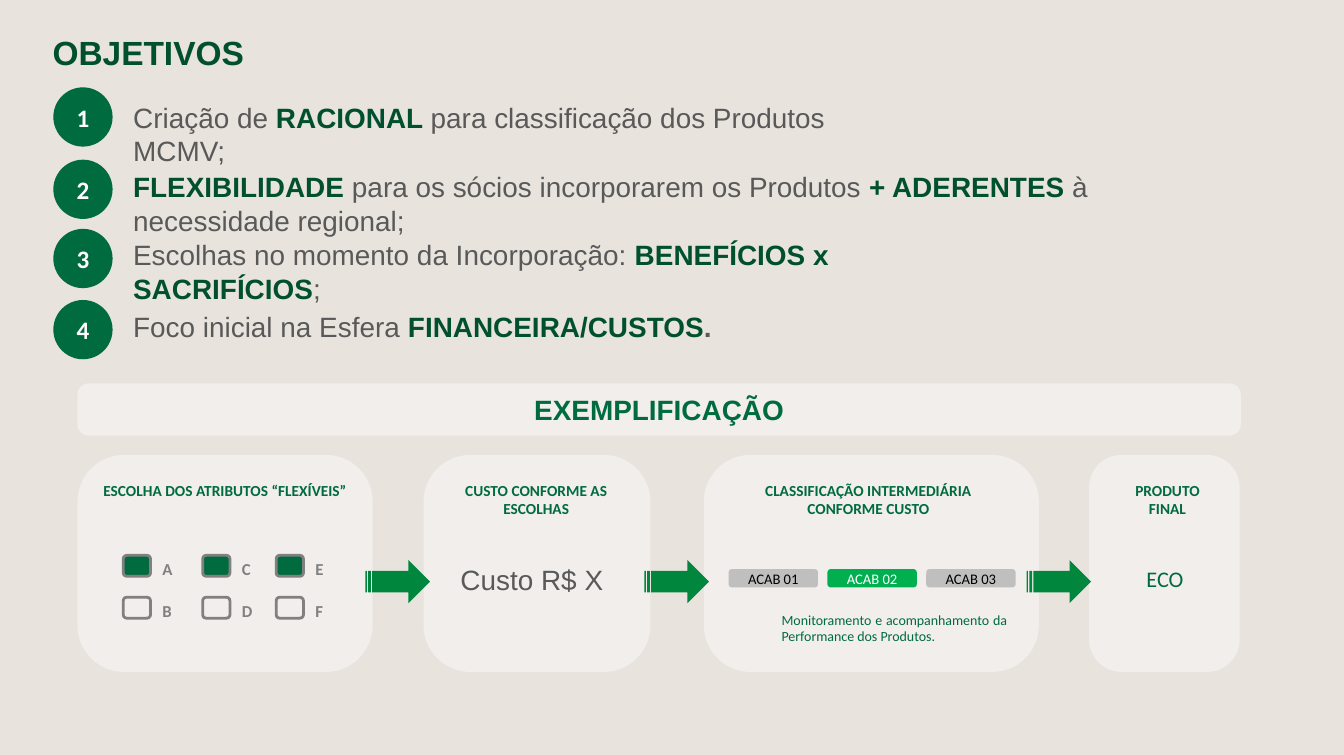
from pptx import Presentation
from pptx.dml.color import RGBColor
from pptx.enum.shapes import MSO_SHAPE
from pptx.enum.text import MSO_ANCHOR, MSO_AUTO_SIZE, PP_ALIGN
from pptx.util import Cm, Pt

ROUNDED = MSO_SHAPE.ROUNDED_RECTANGLE
OVAL = MSO_SHAPE.OVAL
ARROW = MSO_SHAPE.STRIPED_RIGHT_ARROW
LEFT, CENTER, JUSTIFY = PP_ALIGN.LEFT, PP_ALIGN.CENTER, PP_ALIGN.JUSTIFY
MIDDLE = MSO_ANCHOR.MIDDLE
GROW = MSO_AUTO_SIZE.SHAPE_TO_FIT_TEXT

GREEN, DARK, GRAY, WHITE = "006B3F", "00502F", "595959", "FFFFFF"
PANEL, MID_GRAY, SILVER = "F1EEEB", "808080", "BFBFBF"
ROUNDING = 0.215


def color(value):
    return RGBColor.from_string(value)


def write(frame, paragraphs, font="Arial", size=20, ink=GREEN, bold=False,
          align=LEFT, line_spacing=None):
    """Fill a frame; a paragraph is a string or a list of (text, ink, bold)."""
    for index, content in enumerate(paragraphs):
        para = frame.add_paragraph() if index else frame.paragraphs[0]
        para.alignment = align
        if line_spacing:
            para.line_spacing = line_spacing
        spans = [(content, ink, bold)] if isinstance(content, str) else content
        for text, span_ink, span_bold in spans:
            span = para.add_run()
            span.text = text
            span.font.name = font
            span.font.size = Pt(size)
            span.font.bold = span_bold
            span.font.color.rgb = color(span_ink)


class Board:
    """Holds the deck, its page and the shared look."""

    def __init__(self, width, height, background):
        self.deck = Presentation()
        self.deck.slide_width, self.deck.slide_height = Cm(width), Cm(height)
        self.page = self.deck.slides.add_slide(self.deck.slide_layouts[6])
        self.page.background.fill.solid()
        self.page.background.fill.fore_color.rgb = color(background)

    def shape(self, kind, left, top, width, height, fill=None, line=None,
              rounding=None, text=None, **style):
        box = self.page.shapes.add_shape(kind, Cm(left), Cm(top), Cm(width), Cm(height))
        box.shadow.inherit = False
        if rounding:
            box.adjustments[0] = rounding
        if fill:
            box.fill.solid()
            box.fill.fore_color.rgb = color(fill)
        else:
            box.fill.background()
        if line:
            box.line.color.rgb = color(line)
            box.line.width = Pt(2)
        else:
            box.line.fill.background()
        if text:
            box.text_frame.vertical_anchor = MIDDLE
            write(box.text_frame, [text], align=CENTER, **style)

    def text(self, left, top, width, height, *paragraphs, **style):
        box = self.page.shapes.add_textbox(Cm(left), Cm(top), Cm(width), Cm(height))
        frame = box.text_frame
        frame.word_wrap = True
        frame.auto_size = GROW
        write(frame, paragraphs, **style)
        return frame

    def card(self, left, width):
        self.shape(ROUNDED, left, 11.51, width, 5.49, PANEL, rounding=ROUNDING)

    def heading(self, left, width, *lines):
        self.text(left, 12.04, width, 1.19, *lines,
                  font="Calibri", size=11, bold=True, align=CENTER)

    def goal(self, number, circle_top, text_top, width, spans):
        self.shape(OVAL, 1.35, circle_top, 1.5, 1.5, GREEN, text=str(number),
                   font="Calibri", size=18, ink=WHITE, bold=True)
        self.text(3.12, text_top, width, 1.12, spans)

    def option(self, left, top, letter, fill):
        self.shape(ROUNDED, left, top, 0.69, 0.53, fill, MID_GRAY)
        self.text(left + 0.74, top - 0.3, 1.09, 0.94, letter, font="Calibri",
                  size=12, ink=MID_GRAY, bold=True, line_spacing=1.5)


def main():
    board = Board(34.01, 19.1, "E8E3DD")

    title = board.text(1.3, 0.61, 19.76, 1.14, "OBJETIVOS", size=24, ink=DARK, bold=True)
    title.margin_left, title.margin_top = Cm(0.03), Cm(0.2)
    title.margin_right = title.margin_bottom = Cm(0)

    goals = [
        (2.21, 2.41, 18.31, [("Criação de ", GRAY, False), ("RACIONAL ", DARK, True),
                             ("para classificação dos Produtos MCMV;", GRAY, False)]),
        (4.04, 4.17, 28.04, [("FLEXIBILIDADE ", DARK, True),
                             ("para os sócios incorporarem os Produtos ", GRAY, False),
                             ("+ ADERENTES ", DARK, True),
                             ("à necessidade regional;", GRAY, False)]),
        (5.79, 5.89, 20.32, [("Escolhas no momento da Incorporação: ", GRAY, False),
                             ("BENEFÍCIOS x SACRIFÍCIOS", DARK, True), (";", GRAY, False)]),
        (7.59, 7.72, 22.1, [("Foco inicial na Esfera ", GRAY, False),
                            ("FINANCEIRA/CUSTOS", DARK, True), (".", GRAY, True)]),
    ]
    for number, goal in enumerate(goals, 1):
        board.goal(number, *goal)

    board.shape(ROUNDED, 1.96, 9.7, 29.44, 1.32, PANEL, rounding=ROUNDING,
                text="EXEMPLIFICAÇÃO", bold=True)

    for left, width in [(1.96, 7.47), (10.72, 5.74), (17.81, 8.48), (27.56, 3.81)]:
        board.card(left, width)
    board.heading(1.96, 7.47, "ESCOLHA DOS ATRIBUTOS “FLEXÍVEIS”")
    board.heading(10.8, 5.54, "CUSTO CONFORME AS ESCOLHAS")
    board.heading(18.24, 7.47, "CLASSIFICAÇÃO INTERMEDIÁRIA CONFORME CUSTO")
    board.heading(27.64, 3.81, "PRODUTO", "FINAL")
    for left in (9.25, 16.31, 25.98):
        board.shape(ARROW, left, 14.17, 1.63, 1.09, "00863D")

    for left, (chosen, unchosen) in zip((3.12, 5.13, 6.99), ("AB", "CD", "EF")):
        board.option(left, 14.05, chosen, GREEN)
        board.option(left, 15.11, unchosen, None)

    board.text(10.59, 14.12, 5.74, 1.12, "Custo R$ X", ink=GRAY, align=CENTER)

    finishes = [(SILVER, "000000"), ("00B050", WHITE), (SILVER, "000000")]
    for index, (fill, ink) in enumerate(finishes):
        board.shape(ROUNDED, 18.44 + 2.5 * index, 14.4, 2.26, 0.46, fill,
                    text=f"ACAB 0{index + 1}", font="Calibri", size=10.5, ink=ink)
    board.text(19.53, 15.34, 6.2, 1.12,
               "Monitoramento e acompanhamento da Performance dos Produtos.",
               font="Calibri", size=10, align=JUSTIFY)

    board.text(28.58, 14.17, 1.8, 0.94, "ECO", font="Calibri", size=16, align=CENTER)

    board.deck.save("out.pptx")


if __name__ == "__main__":
    main()
